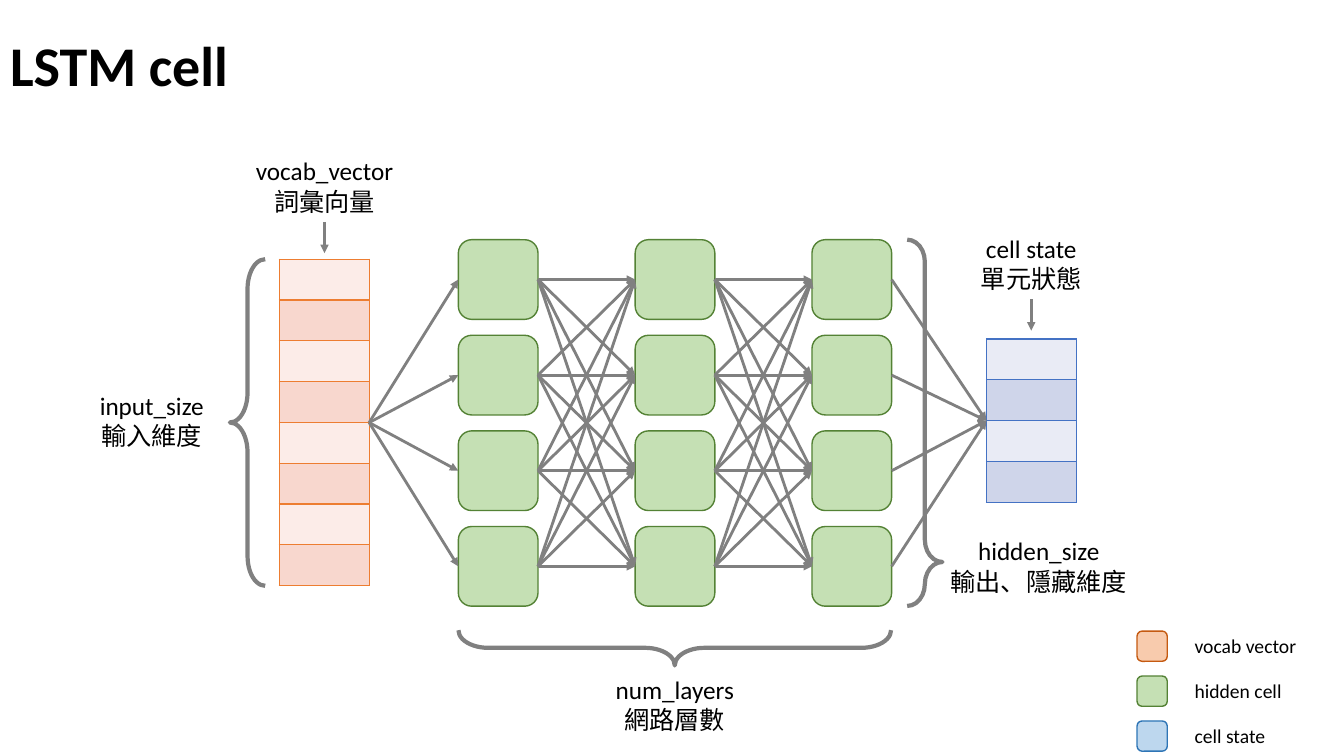
from dataclasses import dataclass
from itertools import pairwise, product

from lxml import etree
from pptx import Presentation
from pptx import util as u
from pptx.dml.color import RGBColor
from pptx.enum import shapes, text
from pptx.oxml.ns import qn


@dataclass(frozen=True)
class Theme:
    font: str = "Calibri"
    ink: str = "000000"
    gray: str = "808080"
    vocab: tuple = ("F8CBAD", "C55A11")
    hidden: tuple = ("C5E0B4", "548235")
    state: tuple = ("BDD7EE", "2E75B6")
    vocab_bands: tuple = ("FCECE8", "F8D7CE")
    vocab_border: str = "ED7D31"
    state_bands: tuple = ("E9EBF5", "CFD5EA")
    state_border: str = "4472C4"
    title_size: int = 40
    label_size: int = 18
    legend_size: int = 14


class Diagram:
    """Draws the elements of a network diagram on one slide, in points."""

    def __init__(self, page, theme):
        self.page = page
        self.theme = theme

    def set_words(self, box, words, size, align, anchor, bold=False):
        frame = box.text_frame
        frame.text = words
        frame.word_wrap = False
        frame.auto_size = text.MSO_AUTO_SIZE.NONE
        frame.vertical_anchor = anchor
        for para in frame.paragraphs:
            para.alignment = align
            for span in para.runs:
                span.font.name = self.theme.font
                span.font.size = u.Pt(size)
                span.font.bold = bold
                span.font.color.rgb = RGBColor.from_string(self.theme.ink)

    def title(self, words, left, top, width, height):
        box = self.page.shapes.title
        box.left, box.top = u.Pt(left), u.Pt(top)
        box.width, box.height = u.Pt(width), u.Pt(height)
        self.set_words(box, words, self.theme.title_size, text.PP_ALIGN.LEFT,
                       text.MSO_ANCHOR.TOP, bold=True)

    def label(self, words, center, top, width):
        box = self.page.shapes.add_textbox(
            u.Pt(center - width / 2), u.Pt(top), u.Pt(width), u.Pt(51))
        self.set_words(box, words, self.theme.label_size, text.PP_ALIGN.CENTER,
                       text.MSO_ANCHOR.MIDDLE)

    def cell(self, left, top, size, colors):
        box = self.page.shapes.add_shape(
            shapes.MSO_SHAPE.ROUNDED_RECTANGLE,
            u.Pt(left), u.Pt(top), u.Pt(size), u.Pt(size))
        fill, border = colors
        box.shadow.inherit = False
        box.fill.solid()
        box.fill.fore_color.rgb = RGBColor.from_string(fill)
        self.outline(box, border, 1)
        return box

    def legend(self, words, left, top, colors):
        self.cell(left, top, 21.6, colors)
        box = self.page.shapes.add_textbox(
            u.Pt(left + 34), u.Pt(top - 1.4), u.Pt(88), u.Pt(24.4))
        self.set_words(box, words, self.theme.legend_size, text.PP_ALIGN.LEFT,
                       text.MSO_ANCHOR.TOP)

    def outline(self, shape, color, width):
        shape.line.color.rgb = RGBColor.from_string(color)
        shape.line.width = u.Pt(width)

    def brace(self, left, top, width, height, rotation=0, tip=0.5):
        shape = self.page.shapes.add_shape(
            shapes.MSO_SHAPE.LEFT_BRACE,
            u.Pt(left), u.Pt(top), u.Pt(width), u.Pt(height))
        shape.adjustments[0] = 0.84
        shape.adjustments[1] = tip
        shape.rotation = rotation
        shape.shadow.inherit = False
        shape.fill.background()
        self.outline(shape, self.theme.gray, 3)

    def arrow(self, start=(0, 0), end=(0, 0), source=None, target=None):
        line = self.page.shapes.add_connector(
            shapes.MSO_CONNECTOR.STRAIGHT, *map(u.Pt, (*start, *end)))
        if source is not None:
            line.begin_connect(source, 3)
        if target is not None:
            line.end_connect(target, 1)
        self.outline(line, self.theme.gray, 2)
        properties = line._element.spPr
        etree.SubElement(properties.find(qn("a:ln")), qn("a:tailEnd"), type="triangle")
        etree.SubElement(properties, qn("a:effectLst"))

    def vector(self, left, top, width, row_height, rows, bands, border):
        table = self.page.shapes.add_table(
            rows, 1, u.Pt(left), u.Pt(top), u.Pt(width), u.Pt(row_height * rows)).table
        table.first_row = table.horz_banding = False
        for index, row in enumerate(table.rows):
            row.height = u.Pt(row_height)
            cell = row.cells[0]
            cell.margin_top = cell.margin_bottom = 0
            cell.fill.solid()
            cell.fill.fore_color.rgb = RGBColor.from_string(bands[index % len(bands)])
            properties = cell._tc.get_or_add_tcPr()
            for position, side in enumerate("LRTB"):
                edge = etree.Element(qn(f"a:ln{side}"), w=str(u.Pt(1)))
                solid = etree.SubElement(edge, qn("a:solidFill"))
                etree.SubElement(solid, qn("a:srgbClr"), val=border)
                properties.insert(position, edge)


def main():
    deck = Presentation()
    deck.slide_width, deck.slide_height = u.Pt(960), u.Pt(540)
    theme = Theme()
    diagram = Diagram(deck.slides.add_slide(deck.slide_layouts[5]), theme)
    diagram.title("LSTM cell", 0, 18, 175, 55.4)

    row_height, vector_width = 29.16, 64.3
    vocab_left, vocab_top = 199.4, 185.2
    state_left, state_top = 704.6, 242.2
    diagram.vector(vocab_left, vocab_top, vector_width, row_height, 8,
                   theme.vocab_bands, theme.vocab_border)
    diagram.vector(state_left, state_top, vector_width, row_height, 4,
                   theme.state_bands, theme.state_border)

    cell_left, cell_top, cell_size = 327.4, 171.2, 56.9
    layers = [[diagram.cell(cell_left + 126.3 * column, cell_top + 68.3 * row,
                            cell_size, theme.hidden)
               for row in range(4)] for column in range(3)]
    for before, after in pairwise(layers):
        for source, target in product(before, after):
            diagram.arrow(source=source, target=target)
    vocab_exit = (vocab_left + vector_width, vocab_top + 4 * row_height)
    state_entry = (state_left, state_top + 2 * row_height)
    for first, last in zip(layers[0], layers[-1]):
        diagram.arrow(start=vocab_exit, target=first)
        diagram.arrow(end=state_entry, source=last)

    diagram.brace(164.2, vocab_top, 25.2, 8 * row_height)
    diagram.brace(469.4, 308.2, 25.2, 309, rotation=270)
    diagram.brace(648, cell_top, 25.2, 261.6, rotation=180, tip=0.12)

    for words, center, top, width in (
        ("vocab_vector\n詞彙向量", 231.8, 107.3, 113.8),
        ("input_size\n輸入維度", 108.4, 275, 90),
        ("num_layers\n網路層數", 482, 477.4, 100),
        ("hidden_size\n輸出、隱藏維度", 742, 378.7, 141.8),
        ("cell state\n單元狀態", 736.6, 162.7, 87),
    ):
        diagram.label(words, center, top, width)
    for x, y in ((231.8, 158.4), (736.6, 213.8)):
        diagram.arrow((x, y), (x, y + 22.4))

    entries = (("vocab vector", theme.vocab), ("hidden cell", theme.hidden),
               ("cell state", theme.state))
    for index, (words, colors) in enumerate(entries):
        diagram.legend(words, 812.2, 450.8 + 32.1 * index, colors)

    deck.save("out.pptx")


if __name__ == "__main__":
    main()
